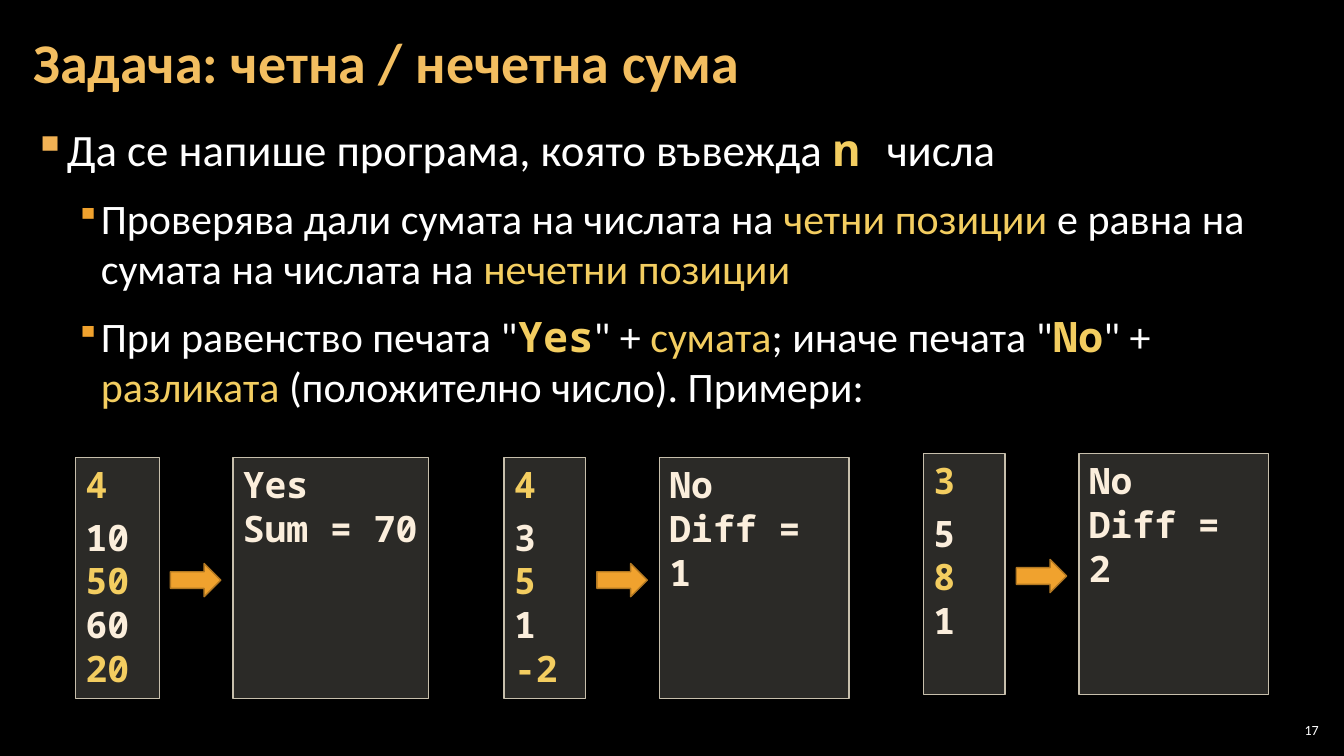
"""Build the slide about the even / odd sum task."""
from lxml import etree
from pptx import Presentation
from pptx import util as u
from pptx.dml import color as col
from pptx.enum import shapes, text
from pptx.oxml import ns

GOLD, CREAM, WHITE, AMBER = "F3CD60", "FBEEDC", "FFFFFF", "F0A22E"
SANS, MONO = "Calibri", "Noto Sans Mono"


def rgb(code):
    return col.RGBColor.from_string(code)


def put(item, vals):
    for key, val in vals.items():
        setattr(item, key, val)


def sub(node, tag, **vals):
    return etree.SubElement(node, ns.qn(tag), vals)


class Deck:
    def __init__(self, prs):
        self.slide = prs.slides.add_slide(prs.slide_layouts[6])
        self.code = {"size": u.Pt(26), "name": MONO, "bold": True}
        self.slide.background.fill.solid()
        self.slide.background.fill.fore_color.rgb = rgb("000000")

    def run(self, para, words, tint, font):
        run = para.add_run()
        run.text = words
        put(run.font, font)
        run.font.color.rgb = rgb(tint)

    def frame(self, box, side, edge, anchor=text.MSO_ANCHOR.TOP):
        frame = box.text_frame
        put(frame, {"word_wrap": True, "vertical_anchor": anchor,
                    "margin_left": u.Inches(side), "margin_right": u.Inches(side),
                    "margin_top": u.Inches(edge), "margin_bottom": u.Inches(edge)})
        return frame

    def label(self, at, side, anchor=text.MSO_ANCHOR.TOP):
        box = self.slide.shapes.add_textbox(*map(u.Inches, at))
        return self.frame(box, side, 0.04, anchor)

    def line(self, at, side, words, tint, font, form):
        para = self.label(at, side, text.MSO_ANCHOR.MIDDLE).paragraphs[0]
        put(para, form)
        self.run(para, words, tint, font)

    def bullets(self, at, items):
        frame = self.label(at, 0.12)
        for num, (level, runs) in enumerate(items):
            para = frame.add_paragraph() if num else frame.paragraphs[0]
            put(para, {"level": level, "space_before": u.Pt(6), "space_after": u.Pt(6)})
            left, hang, size, tint, scale = (
                (0.67, 0.25, 30, AMBER, "80000") if level
                else (0.33, 0.33, 32, "F2B254", "100000"))
            props = para._p.get_or_add_pPr()
            props.set("marL", str(u.Inches(left)))
            props.set("indent", str(-u.Inches(hang)))
            sub(sub(props, "a:buClr"), "a:srgbClr", val=tint)
            sub(props, "a:buSzPct", val=scale)
            sub(props, "a:buChar", char="▪")
            for words, tint, name in runs:
                self.run(para, words, tint,
                         {"size": u.Pt(size), "name": name, "bold": name == MONO})

    def shape(self, kind, at, fill, edge):
        shape = self.slide.shapes.add_shape(kind, *map(u.Inches, at))
        shape.shadow.inherit = False
        shape.fill.solid()
        shape.fill.fore_color.rgb = rgb(fill)
        shape.line.color.rgb = rgb(edge)
        shape.line.width = u.Pt(1)
        return shape

    def panel(self, at, rows, tints, gap):
        box = self.shape(shapes.MSO_SHAPE.RECTANGLE, at, "D9D5C7", "C7BFAC")
        tone = box.fill._xPr.find(".//" + ns.qn("a:srgbClr"))
        sub(tone, "a:alpha", val="20000")
        frame = self.frame(box, 0.1, 0.05)
        for num, words in enumerate(rows):
            para = frame.add_paragraph() if num else frame.paragraphs[0]
            put(para, {"alignment": text.PP_ALIGN.LEFT,
                       "space_before": u.Pt(gap if num == 1 else 0)})
            self.run(para, words, tints[num % 2], self.code)

    def sample(self, left, top, thin, wide, given, shown):
        tall, edge = 2.39, left + thin
        self.panel((left, top, thin, tall), given, (GOLD, CREAM), 6)
        self.panel((edge + 0.73, top, wide, tall), shown, (CREAM, CREAM), 0)
        self.shape(shapes.MSO_SHAPE.RIGHT_ARROW,
                   (edge + 0.11, top + 1.05, 0.5, 0.33), AMBER, "B27822")


def main():
    prs = Presentation()
    put(prs, {"slide_width": u.Inches(13.33), "slide_height": u.Inches(7.5)})
    deck = Deck(prs)
    deck.line((12.65, 7.14, 0.47, 0.21), 0.04, "17", WHITE,
              {"size": u.Pt(10), "name": SANS}, {"alignment": text.PP_ALIGN.RIGHT})
    deck.bullets((0.21, 1.17, 12.91, 6.09), [
        (0, [("Да се напише програма, която въвежда ", WHITE, SANS),
             ("n ", GOLD, MONO), ("числа", WHITE, SANS)]),
        (1, [("Проверява дали сумата на числата на ", WHITE, SANS),
             ("четни позиции ", GOLD, SANS),
             ("е равна на сумата на числата на ", WHITE, SANS),
             ("нечетни позиции", GOLD, SANS)]),
        (1, [('При равенство печата "', WHITE, SANS), ("Yes", GOLD, MONO),
             ('" + ', WHITE, SANS), ("сумата", GOLD, SANS),
             ('; иначе печата "', WHITE, SANS), ("No", GOLD, MONO),
             ('" + ', WHITE, SANS), ("разликата ", GOLD, SANS),
             ("(положително число). Примери:", WHITE, SANS)]),
    ])
    deck.line((0.21, 0.04, 10.47, 1.21), 0.12, "Задача: четна / нечетна сума", "F3BE60",
              {"size": u.Pt(40), "name": SANS, "bold": True}, {"line_spacing": 0.9})
    for case in (
        (0.75, 4.54, 0.83, 1.94, ("4", "10", "50", "60", "20"), ("Yes", "Sum = 70")),
        (5, 4.54, 0.81, 1.88, ("4", "3", "5", "1", "-2"), ("No", "Diff = 1")),
        (9.16, 4.5, 0.81, 1.88, ("3", "5", "8", "1"), ("No", "Diff = 2")),
    ):
        deck.sample(*case)
    prs.save("out.pptx")


if __name__ == "__main__":
    main()
